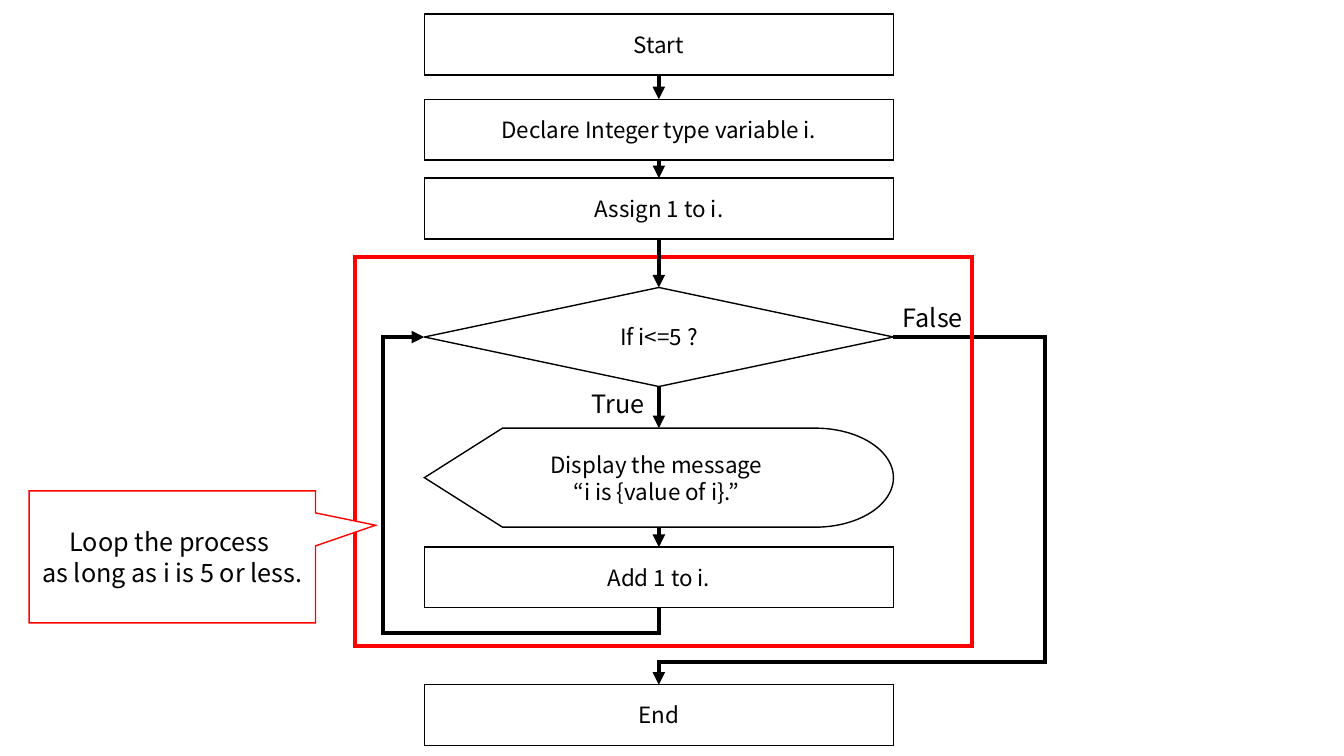
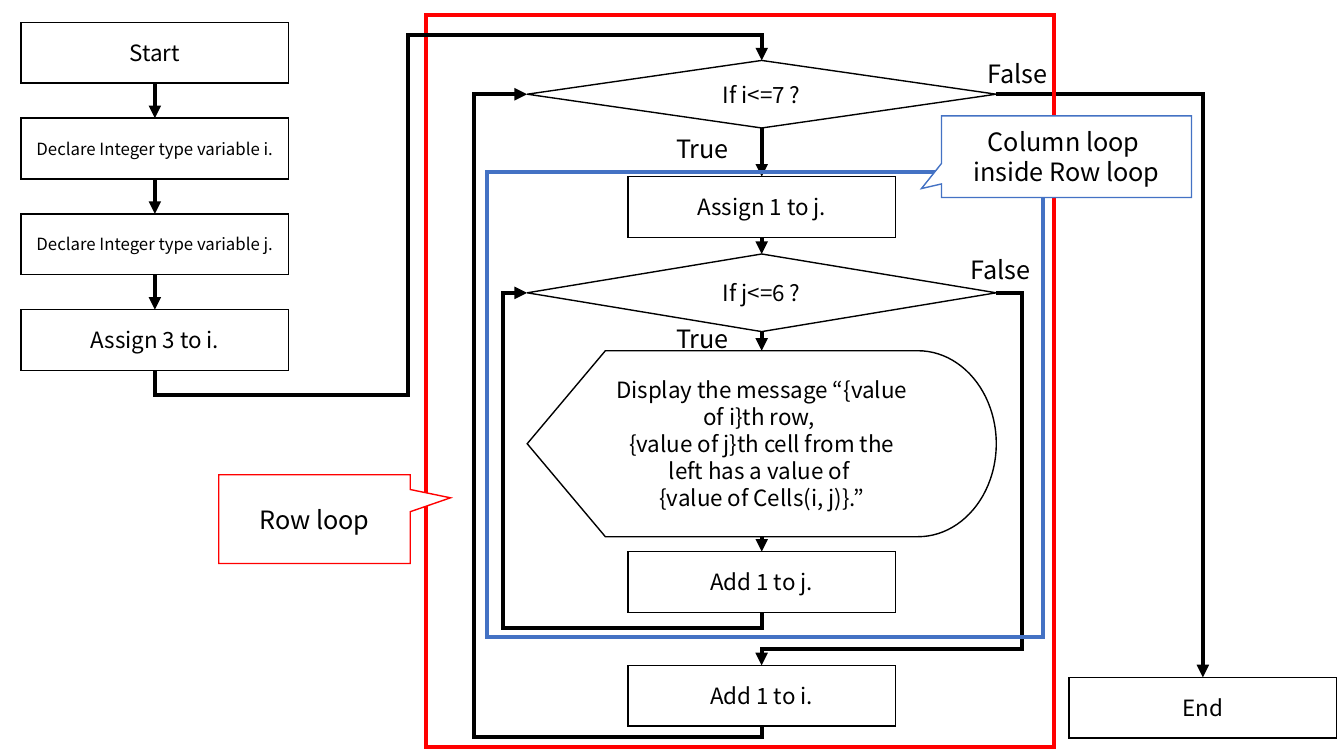
"""Build two flowchart slides: a single loop and a nested loop."""
from dataclasses import dataclass
from enum import IntEnum

from lxml.etree import SubElement
from pptx import Presentation
from pptx.dml.color import RGBColor
from pptx.enum.shapes import MSO_CONNECTOR as Wire, MSO_SHAPE as Form
from pptx.enum.text import MSO_ANCHOR as Anchor, PP_ALIGN as Align
from pptx.oxml.ns import qn
from pptx.util import Inches, Pt

WIDTH, HEIGHT = Inches(13.33), Inches(7.5)
COLUMNS, ROWS = 40, 30
FONT = "Noto Sans CJK JP"
BLACK, WHITE, RED, BLUE = "000000", "FFFFFF", "FF0000", "4472C4"
THIN, THICK = 1, 3
SMALL, NORMAL, LARGE = 12, 16, 18
WIDE, NARROW, BAR = 13.96, 7.96, 2.41
LABEL_WIDTHS = {"True": 2.22, "False": 2.49}
LABEL_HEIGHT = 1.6


class Side(IntEnum):
    TOP = 0
    LEFT = 1
    BOTTOM = 2
    RIGHT = 3


@dataclass(frozen=True)
class Step:
    name: str
    text: str
    centre: float
    top: float
    width: float = NARROW
    height: float = BAR
    form: Form = Form.FLOWCHART_PROCESS
    size: int = NORMAL


@dataclass(frozen=True)
class Link:
    source: str
    target: str
    leave: Side = Side.BOTTOM
    enter: Side = Side.TOP
    turns: tuple[float, ...] = ()


@dataclass(frozen=True)
class Label:
    text: str
    left: float
    top: float


@dataclass(frozen=True)
class Frame:
    color: str
    left: float
    top: float
    width: float
    height: float


@dataclass(frozen=True)
class Callout(Frame):
    text: str
    tip: tuple[float, float]


@dataclass(frozen=True)
class Chart:
    steps: tuple[Step, ...]
    labels: tuple[Label, ...]
    links_below: tuple[Link, ...]
    frames: tuple[Frame, ...]
    callouts: tuple[Callout, ...]
    links_above: tuple[Link, ...]


def across(columns: float) -> int:
    return round(WIDTH * columns / COLUMNS)


def down(rows: float) -> int:
    return round(HEIGHT * rows / ROWS)


def rgb(color: str) -> RGBColor:
    return RGBColor.from_string(color)


def set_line(item, color: str, weight: float):
    item.line.color.rgb = rgb(color)
    item.line.width = Pt(weight)
    line = item._element.spPr.find(qn("a:ln"))
    SubElement(line, qn("a:miter"), lim="800000")
    return line


def write(box, text: str, size: int) -> None:
    para = box.text_frame.paragraphs[0]
    para.alignment = Align.CENTER
    for number, row in enumerate(text.split("\n")):
        if number:
            para.add_line_break()
        span = para.add_run()
        span.text = row
        span.font.name = FONT
        span.font.size = Pt(size)
        span.font.color.rgb = rgb(BLACK)


def draw_box(page, form: Form, left: float, top: float, width: float, height: float,
             color: str, weight: float, fill: str | None = WHITE):
    box = page.shapes.add_shape(form, across(left), down(top), across(width), down(height))
    box.shadow.inherit = False
    if fill:
        box.fill.solid()
        box.fill.fore_color.rgb = rgb(fill)
    else:
        box.fill.background()
    set_line(box, color, weight)
    box.text_frame.word_wrap = True
    box.text_frame.vertical_anchor = Anchor.MIDDLE
    return box


def draw_step(page, step: Step):
    box = draw_box(page, step.form, step.centre - step.width / 2, step.top,
                   step.width, step.height, BLACK, THIN)
    write(box, step.text, step.size)
    return box


def draw_label(page, label: Label) -> None:
    box = page.shapes.add_textbox(across(label.left), down(label.top),
                                  across(LABEL_WIDTHS[label.text]), down(LABEL_HEIGHT))
    box.text_frame.word_wrap = False
    write(box, label.text, LARGE)


def draw_frame(page, frame: Frame) -> None:
    draw_box(page, Form.RECTANGLE, frame.left, frame.top, frame.width, frame.height,
             frame.color, THICK, None)


def draw_callout(page, note: Callout) -> None:
    box = draw_box(page, Form.RECTANGULAR_CALLOUT, note.left, note.top, note.width,
                   note.height, note.color, THIN)
    box.adjustments[0], box.adjustments[1] = note.tip
    write(box, note.text, LARGE)


def side_point(box, side: Side) -> tuple[int, int]:
    middle_x, middle_y = box.left + box.width // 2, box.top + box.height // 2
    return {
        Side.TOP: (middle_x, box.top),
        Side.LEFT: (box.left, middle_y),
        Side.BOTTOM: (middle_x, box.top + box.height),
        Side.RIGHT: (box.left + box.width, middle_y),
    }[side]


def bend(wire, link: Link, start: tuple[int, int], end: tuple[int, int]) -> None:
    """Route an elbow connector through the turns, which alternate between the axes."""
    spans = [end[axis] - start[axis] for axis in (0, 1)]
    middle = [(start[axis] + end[axis]) // 2 for axis in (0, 1)]
    first = 1 if link.leave == Side.BOTTOM else 0
    along, sideways = (spans[1], -spans[0]) if first else spans
    wire.width, wire.height = abs(along), abs(sideways)
    wire.left, wire.top = middle[0] - wire.width // 2, middle[1] - wire.height // 2

    properties = wire._element.spPr
    placement = properties.find(qn("a:xfrm"))
    placement.set("rot", str(first * 5400000))
    placement.set("flipH", str(int(along < 0)))
    placement.set("flipV", str(int(sideways < 0)))

    geometry = properties.find(qn("a:prstGeom"))
    geometry.set("prst", f"bentConnector{len(link.turns) + 2}")
    guides = geometry.find(qn("a:avLst"))
    for number, turn in enumerate(link.turns):
        axis = (first + number) % 2
        place = down(turn) if axis else across(turn)
        share = round(100000 * (place - start[axis]) / spans[axis])
        SubElement(guides, qn("a:gd"), name=f"adj{number + 1}", fmla=f"val {share}")


def draw_link(page, link: Link, boxes: dict) -> None:
    source, target = boxes[link.source], boxes[link.target]
    start, end = side_point(source, link.leave), side_point(target, link.enter)
    straight = start[0] == end[0] and not link.turns
    wire = page.shapes.add_connector(Wire.STRAIGHT if straight else Wire.ELBOW, *start, *end)
    wire.begin_connect(source, link.leave.value)
    wire.end_connect(target, link.enter.value)
    if not straight:
        bend(wire, link, start, end)
    line = set_line(wire, BLACK, THICK)
    SubElement(line, qn("a:tailEnd"), type="triangle")
    SubElement(wire._element.spPr, qn("a:effectLst"))


def draw_chart(deck, chart: Chart) -> None:
    page = deck.slides.add_slide(deck.slide_layouts[6])
    boxes = {step.name: draw_step(page, step) for step in chart.steps}
    for link in chart.links_below:
        draw_link(page, link, boxes)
    for label in chart.labels:
        draw_label(page, label)
    for frame in chart.frames:
        draw_frame(page, frame)
    for link in chart.links_above:
        draw_link(page, link, boxes)
    for note in chart.callouts:
        draw_callout(page, note)


def single_loop() -> Chart:
    centre = 19.61
    return Chart(
        steps=(
            Step("start", "Start", centre, 0.56, WIDE),
            Step("declare", "Declare Integer type variable i.", centre, 3.94, WIDE),
            Step("assign", "Assign 1 to i.", centre, 7.07, WIDE),
            Step("test", "If i<=5 ?", centre, 11.41, WIDE, 3.93, Form.FLOWCHART_DECISION),
            Step("show", "Display the message \n“i is {value of i}.” ", centre, 16.99,
                 WIDE, 3.93, Form.FLOWCHART_DISPLAY),
            Step("add", "Add 1 to i.", centre, 21.71, WIDE),
            Step("end", "End", centre, 27.17, WIDE),
        ),
        labels=(Label("True", 17.28, 15.2), Label("False", 26.52, 11.8)),
        links_below=(
            Link("start", "declare"), Link("declare", "assign"),
            Link("test", "show"), Link("show", "add"),
            Link("test", "end", Side.RIGHT, turns=(31.11, 26.28)),
        ),
        frames=(Frame(RED, 10.56, 10.2, 18.36, 15.44),),
        callouts=(Callout(RED, 0.87, 19.48, 8.52, 5.24,
                          "Loop the process \nas long as i is 5 or less.", (0.71, -0.24)),),
        links_above=(
            Link("assign", "test"),
            Link("add", "test", enter=Side.LEFT, turns=(25.12, 11.4)),
        ),
    )


def nested_loop() -> Chart:
    setup, centre = 4.61, 22.67
    setup_steps = (
        ("start", "Start", NORMAL),
        ("declare i", "Declare Integer type variable i.", SMALL),
        ("declare j", "Declare Integer type variable j.", SMALL),
        ("assign i", "Assign 3 to i.", NORMAL),
    )
    message = ("Display the message “{value of i}th row, \n{value of j}th cell from the "
               "left has a value of \n{value of Cells(i, j)}.”")
    return Chart(
        steps=(
            *(Step(name, text, setup, 0.89 + 3.8 * row, size=size)
              for row, (name, text, size) in enumerate(setup_steps)),
            Step("test i", "If i<=7 ?", centre, 2.4, WIDE, 2.68, Form.FLOWCHART_DECISION),
            Step("assign j", "Assign 1 to j.", centre, 7.01),
            Step("test j", "If j<=6 ?", centre, 10.08, WIDE, 3.08, Form.FLOWCHART_DECISION),
            Step("show", message, centre, 13.92, WIDE, 7.38, Form.FLOWCHART_DISPLAY),
            Step("add j", "Add 1 to j.", centre, 21.89),
            Step("add i", "Add 1 to i.", centre, 26.4),
            Step("end", "End", 35.8, 26.88),
        ),
        labels=(Label("True", 19.8, 5.08), Label("False", 29.04, 2.12),
                Label("True", 19.8, 12.64), Label("False", 28.53, 9.88)),
        links_below=(
            *(Link(above[0], below[0]) for above, below in zip(setup_steps, setup_steps[1:])),
            Link("test i", "assign j"), Link("assign j", "test j"),
            Link("test j", "show"), Link("show", "add j"),
            Link("test i", "end", Side.RIGHT),
            Link("test j", "add i", Side.RIGHT, turns=(30.42, 25.76)),
            Link("add j", "test j", enter=Side.LEFT, turns=(24.92, 14.97)),
            Link("add i", "test i", enter=Side.LEFT, turns=(29.24, 14.1)),
        ),
        frames=(Frame(RED, 12.69, 0.6, 18.69, 29.04), Frame(BLUE, 14.49, 6.84, 16.56, 18.44)),
        callouts=(
            Callout(RED, 6.51, 18.84, 5.7, 3.52, "Row loop", (0.71, -0.24)),
            Callout(BLUE, 28.02, 4.6, 7.44, 3.24, "Column loop \ninside Row loop", (-0.58, 0.39)),
        ),
        links_above=(Link("assign i", "test i", turns=(15.68, 12.15, 1.4)),),
    )


def main() -> None:
    deck = Presentation()
    deck.slide_width, deck.slide_height = WIDTH, HEIGHT
    for chart in (single_loop(), nested_loop()):
        draw_chart(deck, chart)
    deck.save("out.pptx")


if __name__ == "__main__":
    main()
